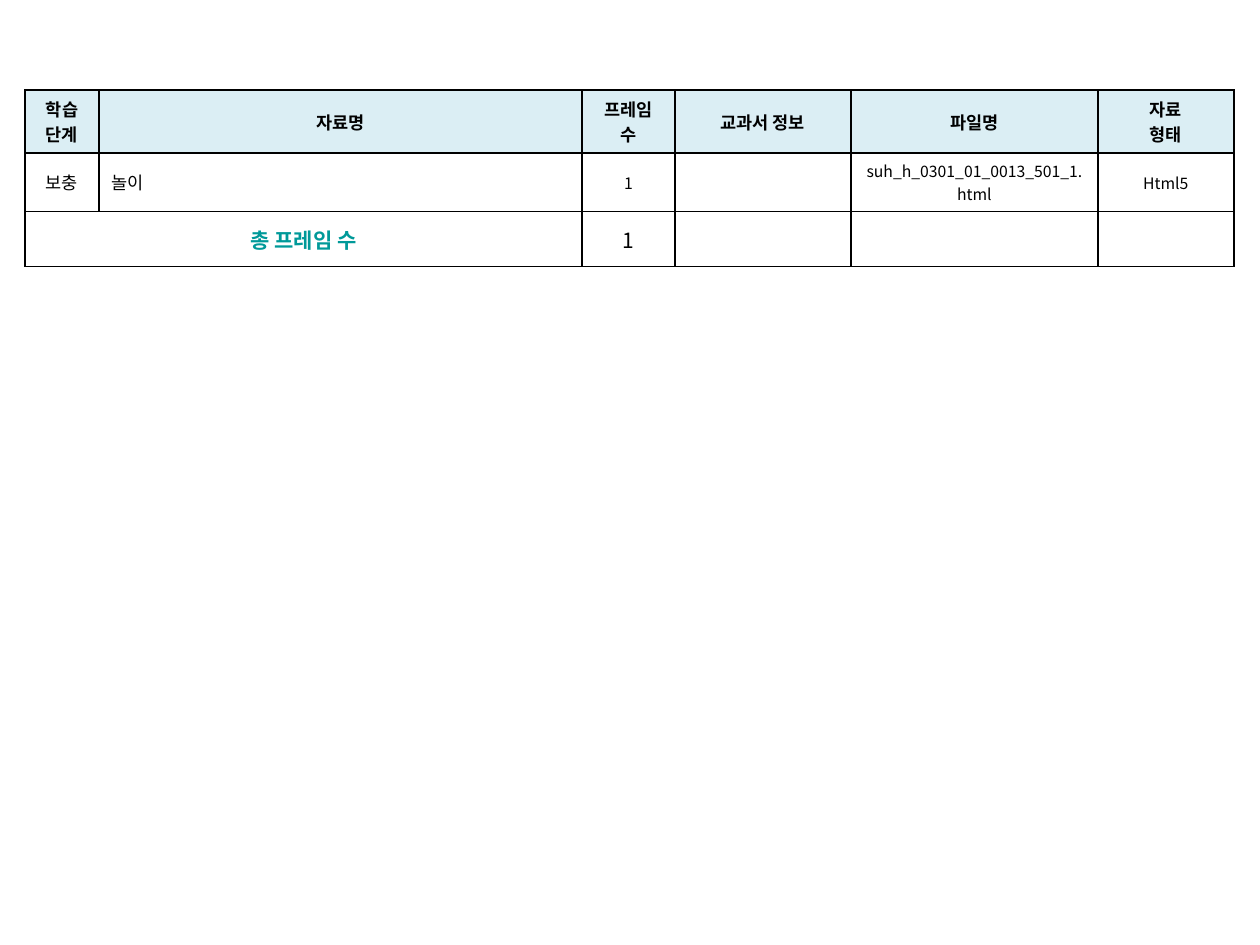
import pptx
import pptx.util
import pptx.dml.color
import pptx.enum.text
import pptx.oxml
import pptx.oxml.ns

PX = 914400 // 126
THEME = {
    "font": "Noto Sans CJK KR",
    "ink": "000000", "teal": "009999", "head": "DBEEF4",
    "small": 9, "body": 10, "total": 12, "line": 1,
}
NS = pptx.oxml.ns.nsdecls("a")
Rgb = pptx.dml.color.RGBColor.from_string
Align = pptx.enum.text.PP_ALIGN


def edge(cell):
    """Draw a solid line on all four sides of a cell."""
    props = cell._tc.get_or_add_tcPr()
    width = pptx.util.Pt(THEME["line"])
    for side in "LRTB":
        props.append(pptx.oxml.parse_xml(
            f'<a:ln{side} {NS} w="{width}"><a:solidFill>'
            f'<a:srgbClr val="{THEME["ink"]}"/></a:solidFill></a:ln{side}>'))


def write(cell, text, size, color, bold, align):
    """Put styled text in a cell."""
    cell.text_frame.text = text
    for para in cell.text_frame.paragraphs:
        para.alignment = align
        if not para.runs:
            para._p.append(pptx.oxml.parse_xml(
                f'<a:endParaRPr {NS} sz="{size * 100}"/>'))
        for run in para.runs:
            run.font.size = pptx.util.Pt(size)
            run.font.bold = bold
            run.font.color.rgb = Rgb(color)
            run.font.name = THEME["font"]
            run._r.get_or_add_rPr().append(pptx.oxml.parse_xml(
                f'<a:ea {NS} typeface="{THEME["font"]}"/>'))


deck = pptx.Presentation()
deck.slide_width = 1260 * PX
deck.slide_height = 945 * PX
slide = deck.slides.add_slide(deck.slide_layouts[6])

# Table grid
cols = [74, 483, 93, 176, 247, 136]
high = 55
rows = [
    ["학습 단계", "자료명", "프레임 수", "교과서 정보", "파일명", "자료\n형태"],
    ["보충", "놀이", "1", "", "suh_h_0301_01_0013_501_1.html", "Html5"],
    ["총 프레임 수", "", "1", "", "", ""],
]
frame = slide.shapes.add_table(len(rows), len(cols), 25 * PX, 90 * PX,
                               sum(cols) * PX, len(rows) * high * PX)
table = frame.table
table.first_row = table.horz_banding = False
for col, wide in zip(table.columns, cols):
    col.width = wide * PX
for row in table.rows:
    row.height = high * PX
table.cell(2, 0).merge(table.cell(2, 1))

# Cell text, lines and fills
for r, texts in enumerate(rows):
    for c, text in enumerate(texts):
        cell = table.cell(r, c)
        size, color, bold = THEME["body"], THEME["ink"], r == 0
        align = Align.LEFT if (r, c) == (1, 1) else Align.CENTER
        if r == 1 and c > 1:
            size = THEME["small"]
        elif r == 2:
            size = THEME["total"]
            if c == 0:
                color, bold = THEME["teal"], True
        write(cell, text, size, color, bold, align)
        cell.vertical_anchor = pptx.enum.text.MSO_ANCHOR.MIDDLE
        edge(cell)
        if r == 0:
            cell.fill.solid()
            cell.fill.fore_color.rgb = Rgb(THEME["head"])
        else:
            cell.fill.background()

deck.save("out.pptx")
